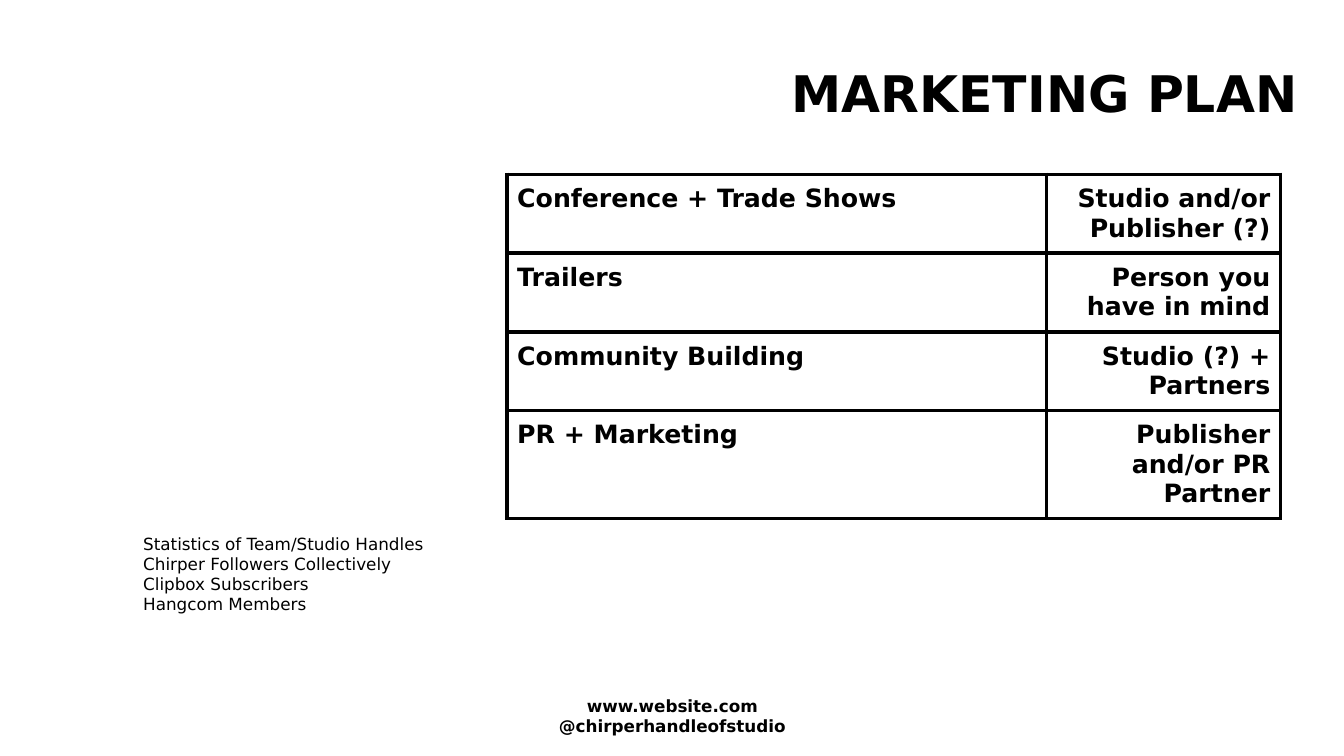
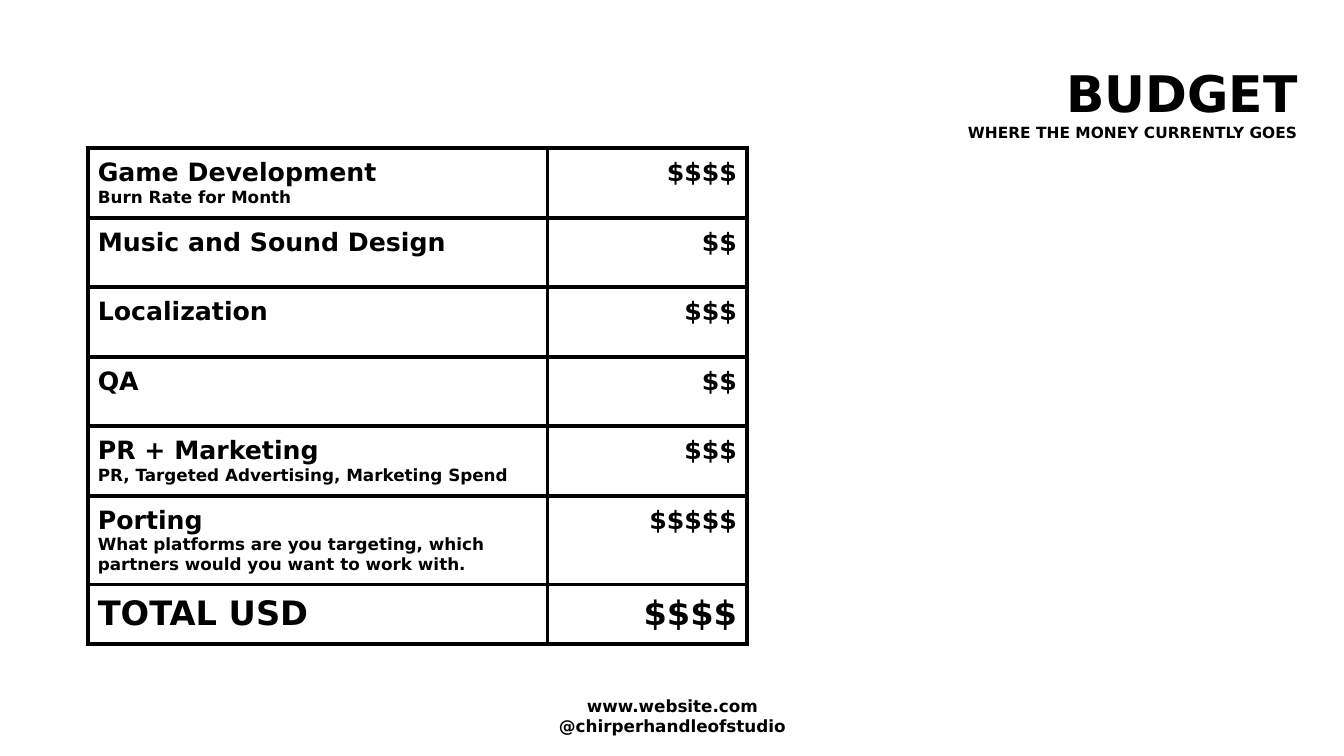
from pptx import Presentation, util as u
from pptx.dml import color
from pptx.enum import text as t
from pptx.oxml import parse_xml
from pptx.oxml import ns

PX = 9144
COLORS = {"ink": "000000", "paper": "FFFFFF"}
FONT = "DejaVu Sans"
INSET = 10
BORDER_PT = 3
SIDES = ("lnL", "lnR", "lnT", "lnB")
TITLE_BOX = (556, 52, 741, 93)
FOOTER_BOX = (503, 680, 328, 58)
FOOTER = ("www.website.com", "@chirperhandleofstudio")
LEFT, CENTER, RIGHT = t.PP_ALIGN.LEFT, t.PP_ALIGN.CENTER, t.PP_ALIGN.RIGHT

CHANNELS = [
    ([("Conference + Trade Shows", 18)], [("Studio and/or Publisher (?)", 18)]),
    ([("Trailers", 18)], [("Person you have in mind", 18)]),
    ([("Community Building", 18)], [("Studio (?) + Partners", 18)]),
    ([("PR + Marketing", 18)], [("Publisher and/or PR Partner", 18)]),
]
AUDIENCE = (
    "Statistics of Team/Studio Handles",
    "Chirper Followers Collectively",
    "Clipbox Subscribers",
    "Hangcom Members",
)
COSTS = [
    ([("Game Development", 18), ("Burn Rate for Month", 12)], [("$$$$", 18)]),
    ([("Music and Sound Design", 18)], [("$$", 18)]),
    ([("Localization", 18)], [("$$$", 18)]),
    ([("QA", 18)], [("$$", 18)]),
    ([("PR + Marketing", 18),
      ("PR, Targeted Advertising, Marketing Spend", 12)], [("$$$", 18)]),
    ([("Porting", 18),
      ("What platforms are you targeting, which partners would you want to work with.", 12)],
     [("$$$$$", 18)]),
    ([("TOTAL USD", 24)], [("$$$$", 24)]),
]


def apply(target, values):
    for name, value in values.items():
        setattr(target, name, value)


def place(shape, box):
    apply(shape, dict(zip(("left", "top", "width", "height"), (n * PX for n in box))))


def write(frame, lines, align=LEFT, bold=True):
    for index, (words, size) in enumerate(lines):
        paragraph = frame.paragraphs[0] if index == 0 else frame.add_paragraph()
        apply(paragraph, {"alignment": align, "space_before": u.Pt(0), "line_spacing": 1.0})
        run = paragraph.add_run()
        run.text = words
        apply(run.font, {"name": FONT, "size": u.Pt(size), "bold": bold})
        run.font.color.rgb = color.RGBColor.from_string(COLORS["ink"])


def fill_box(shape, box, lines, align=LEFT, bold=True):
    place(shape, box)
    frame = shape.text_frame
    apply(frame, {
        "word_wrap": True,
        "auto_size": t.MSO_AUTO_SIZE.NONE,
        "vertical_anchor": t.MSO_ANCHOR.TOP,
        **{f"margin_{side}": INSET * PX for side in ("left", "top", "right", "bottom")},
    })
    write(frame, lines, align, bold)
    return frame


def add_frame(deck, layout, heading):
    slide = deck.slides.add_slide(deck.slide_layouts[layout])
    slide.background.fill.solid()
    slide.background.fill.fore_color.rgb = color.RGBColor.from_string(COLORS["paper"])
    fill_box(slide.shapes.title, TITLE_BOX, heading, RIGHT)
    footer = slide.shapes.add_textbox(0, 0, 0, 0)
    fill_box(footer, FOOTER_BOX, [(line, 12) for line in FOOTER], CENTER)
    return slide


def format_cell(cell):
    apply(cell, {f"margin_{side}": INSET * PX for side in ("left", "top", "right", "bottom")})
    properties = cell._tc.get_or_add_tcPr()
    for side in SIDES:
        properties.append(parse_xml(
            f'<a:{side} {ns.nsdecls("a")} w="{u.Pt(BORDER_PT)}">'
            f'<a:solidFill><a:srgbClr val="{COLORS["ink"]}"/></a:solidFill></a:{side}>'))
    cell.fill.background()


def add_grid(slide, origin, widths, heights, entries):
    box = (*origin, sum(widths), sum(heights))
    grid = slide.shapes.add_table(
        len(heights), len(widths), *(n * PX for n in box)).table
    apply(grid, {"first_row": False, "horz_banding": False})
    for column, width in zip(grid.columns, widths):
        column.width = width * PX
    for row, height, entry in zip(grid.rows, heights, entries):
        row.height = height * PX
        for cell, lines, align in zip(row.cells, entry, (LEFT, RIGHT)):
            format_cell(cell)
            write(cell.text_frame, lines, align)


def add_audience(slide, box):
    frame = fill_box(slide.placeholders[1], box,
                     [(line, 12) for line in AUDIENCE], bold=False)
    for paragraph in frame.paragraphs:
        properties = paragraph._p.get_or_add_pPr()
        for name in ("marL", "indent"):
            properties.set(name, "0")
        properties.append(parse_xml(f'<a:buNone {ns.nsdecls("a")}/>'))


def marketing_slide(deck):
    slide = add_frame(deck, 1, [("MARKETING PLAN", 36)])
    add_audience(slide, (132, 519, 328, 149))
    add_grid(slide, (503, 173), (535, 232), (78, 78, 78, 107), CHANNELS)


def budget_slide(deck):
    slide = add_frame(deck, 5, [("BUDGET", 36), ("WHERE THE MONEY CURRENTLY GOES", 11)])
    add_grid(slide, (87, 147), (456, 198), (69,) * 5 + (88, 59), COSTS)


def main():
    deck = Presentation()
    apply(deck, {"slide_width": 1333 * PX, "slide_height": 750 * PX})
    marketing_slide(deck)
    budget_slide(deck)
    deck.save("out.pptx")


if __name__ == "__main__":
    main()
